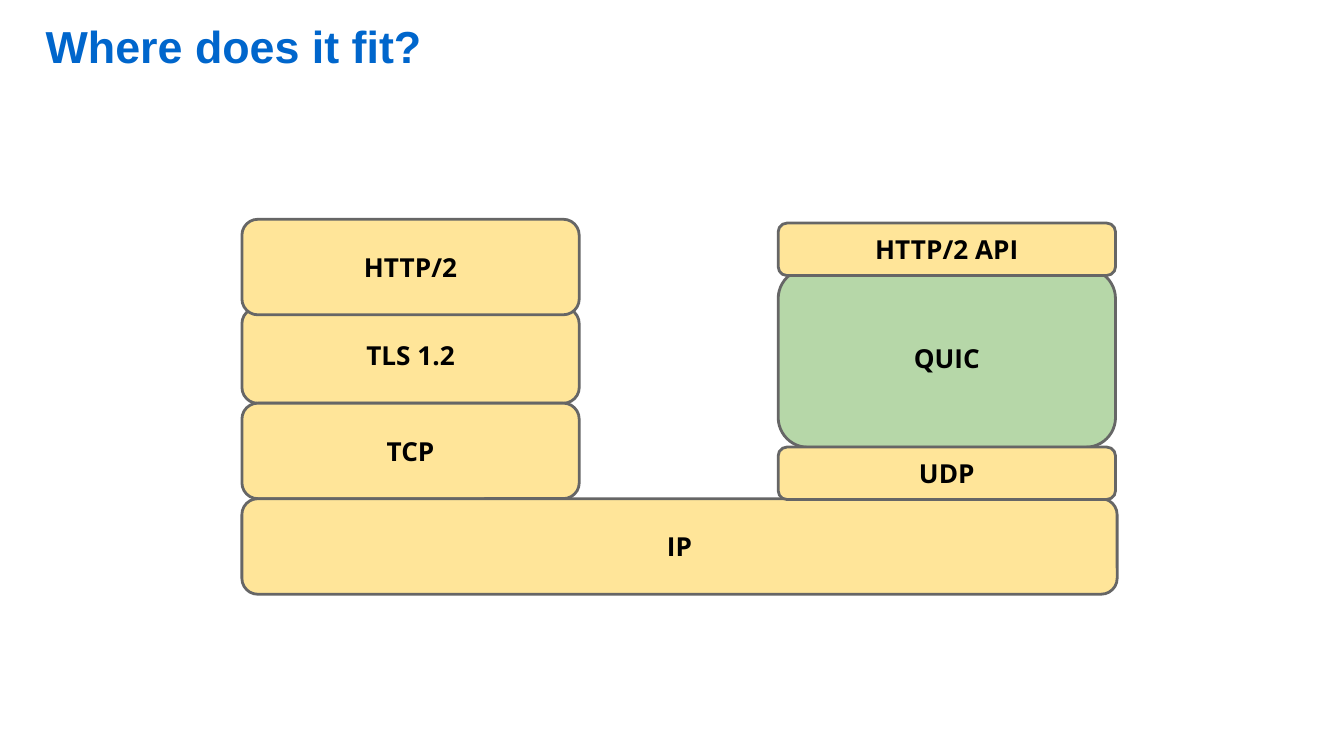
from pptx import Presentation
from pptx.dml.color import RGBColor
from pptx.enum.shapes import MSO_SHAPE
from pptx.enum.text import MSO_ANCHOR, PP_ALIGN
from pptx.util import Pt


def color(value):
    return RGBColor.from_string(value)


def write(sp, text, anchor, align, size, font, fill):
    tf = sp.text_frame
    frame_format = {"word_wrap": True, "vertical_anchor": anchor}
    for side in ("left", "top", "right", "bottom"):
        frame_format[f"margin_{side}"] = Pt(7.2)
    for name, value in frame_format.items():
        setattr(tf, name, value)
    p = tf.paragraphs[0]
    p.alignment = align
    r = p.add_run()
    r.text = text
    for name, value in {"size": Pt(size), "name": font, "bold": True}.items():
        setattr(r.font, name, value)
    r.font.color.rgb = color(fill)


YELLOW, GREEN = "FFE599", "B6D7A8"
LEFT, RIGHT = 129.6, 416.9
WIDTH = 180.7
TALL, SHORT = 51.2, 28.1
IP_TOP = 267.2

prs = Presentation()
prs.slide_width, prs.slide_height = Pt(720), Pt(405)
s = prs.slides.add_slide(prs.slide_layouts[5])

title = s.shapes.title
for name, value in {"left": 17.3, "top": 2.9, "width": 648, "height": 51.1}.items():
    setattr(title, name, Pt(value))
write(title, "Where does it fit?", MSO_ANCHOR.TOP, PP_ALIGN.LEFT, 24, "Arial", "0066CC")

layers = [
    ("TLS 1.2", LEFT, 164.9, WIDTH, TALL, YELLOW),
    ("HTTP/2", LEFT, 117.5, WIDTH, TALL, YELLOW),
    ("TCP", LEFT, IP_TOP - TALL, WIDTH, TALL, YELLOW),
    ("IP", LEFT, IP_TOP, RIGHT + WIDTH - LEFT + 0.9, TALL, YELLOW),
    ("QUIC", RIGHT, 144, WIDTH, 95.6, GREEN),
    ("UDP", RIGHT, 239.5, WIDTH, SHORT, YELLOW),
    ("HTTP/2 API", RIGHT, 119.5, WIDTH, SHORT, YELLOW),
]
for text, left, top, width, height, fill in layers:
    sp = s.shapes.add_shape(
        MSO_SHAPE.ROUNDED_RECTANGLE, Pt(left), Pt(top), Pt(width), Pt(height)
    )
    sp.shadow.inherit = False
    sp.fill.solid()
    sp.fill.fore_color.rgb = color(fill)
    sp.line.color.rgb = color("666666")
    sp.line.width = Pt(1.5)
    write(sp, text, MSO_ANCHOR.MIDDLE, PP_ALIGN.CENTER, 14, "Open Sans", "000000")

prs.save("out.pptx")
